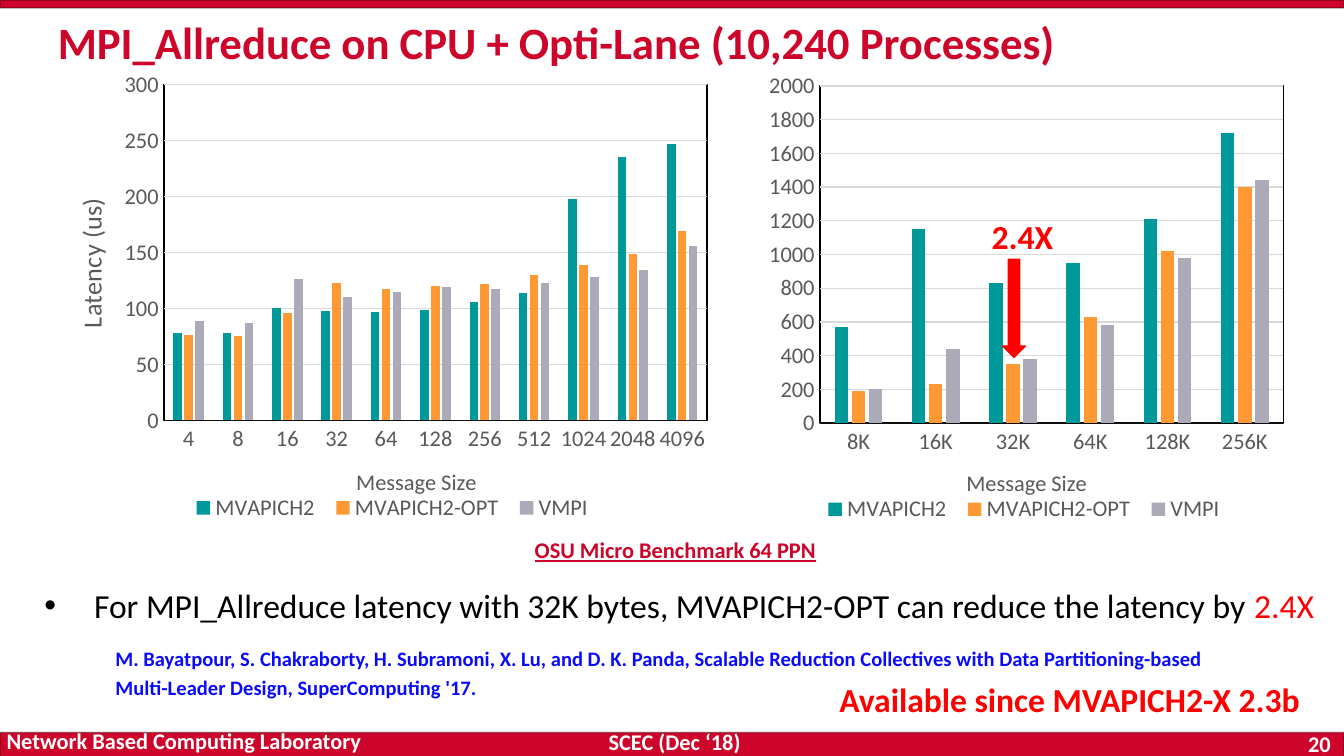
from lxml.etree import SubElement
from pptx import Presentation
from pptx.chart.data import CategoryChartData
from pptx.dml.color import RGBColor
from pptx.enum.chart import XL_CHART_TYPE, XL_LEGEND_POSITION, XL_TICK_MARK
from pptx.enum.shapes import MSO_SHAPE
from pptx.enum.text import MSO_ANCHOR, MSO_AUTO_SIZE, PP_ALIGN
from pptx.oxml import parse_xml
from pptx.oxml.ns import nsdecls, qn
from pptx.util import Pt

PX = 9144
FONT = "Calibri"
CRIMSON, RED, BLUE, BLACK, WHITE = "CD052B", "FF0000", "0A0AFF", "000000", "FFFFFF"
GRAY, GRID, AXIS = "595959", "D9D9D9", "0D0D0D"
SERIES_COLORS = {"MVAPICH2": "009999", "MVAPICH2-OPT": "FF9933", "VMPI": "AAAAB8"}


def color(value):
    return RGBColor.from_string(value)


def emu(*lengths):
    return [length * PX for length in lengths]


def style(font, size, hue, bold=False, underline=None):
    font.name, font.size, font.bold = FONT, Pt(size), bold
    font.underline = underline
    font.color.rgb = color(hue)


def add_run(paragraph, text, *look):
    run = paragraph.add_run()
    run.text = text
    style(run.font, *look)


def add_label(slide, box, text, look, align=PP_ALIGN.LEFT, anchor=MSO_ANCHOR.TOP,
              spacing=None, wrap=True):
    label = slide.shapes.add_textbox(*emu(*box))
    frame = label.text_frame
    frame.word_wrap = wrap
    frame.vertical_anchor = anchor
    paragraph = frame.paragraphs[0]
    paragraph.alignment = align
    paragraph.line_spacing = spacing
    add_run(paragraph, text, *look)


def add_solid(slide, kind, box, fill, line, width):
    solid = slide.shapes.add_shape(kind, *emu(*box))
    solid.shadow.inherit = False
    solid.fill.solid()
    solid.fill.fore_color.rgb = color(fill)
    solid.line.color.rgb = color(line)
    solid.line.width = Pt(width)
    return solid


def add_band(slide, box):
    band = add_solid(slide, MSO_SHAPE.RECTANGLE, box, CRIMSON, BLACK, 1)
    line_color = band.line._get_or_add_ln().find(".//" + qn("a:srgbClr"))
    SubElement(line_color, qn("a:alpha"), val="25000")


def add_frame(slide, box):
    left, top, width, height = box
    bottom = top + height
    look = (12, WHITE, True)
    add_band(slide, (left, top, width, 6))
    add_band(slide, (left, bottom - 17, width, 19))
    add_label(slide, (left + 2, bottom - 18, width, 15), "SCEC (Dec ‘18)", look,
              PP_ALIGN.CENTER, MSO_ANCHOR.MIDDLE)
    add_label(slide, (left + width - 66, bottom - 18, 66, 18), "20", look,
              PP_ALIGN.RIGHT, MSO_ANCHOR.MIDDLE)
    add_label(slide, (left - 5, bottom - 15, 302, 19),
              "Network Based Computing Laboratory", look, anchor=MSO_ANCHOR.BOTTOM)


def fill_placeholder(holder, box, runs):
    holder.left, holder.top, holder.width, holder.height = emu(*box)
    frame = holder.text_frame
    frame.auto_size = MSO_AUTO_SIZE.NONE
    frame.vertical_anchor = MSO_ANCHOR.TOP
    paragraph = frame.paragraphs[0]
    paragraph.alignment = PP_ALIGN.LEFT
    paragraph.space_before = Pt(0)
    for text, *look in runs:
        add_run(paragraph, text, *look)
    return paragraph


def add_finding(holder, box):
    paragraph = fill_placeholder(holder, box, [
        ("For MPI_Allreduce latency with 32K bytes, MVAPICH2-OPT can reduce the latency by ",
         18, BLACK),
        ("2.4X", 18, RED),
    ])
    paragraph.line_spacing = 1.2
    properties = paragraph._p.get_or_add_pPr()
    properties.set("marL", str(37 * PX))
    properties.set("indent", str(-37 * PX))
    SubElement(properties, qn("a:buFont"), typeface="Arial")
    SubElement(properties, qn("a:buChar"), char="•")


def place_part(part, index, chart_box, left, top, width=None, height=None):
    for old in part.findall(qn("c:layout")):
        part.remove(old)
    layout = parse_xml(f"<c:layout {nsdecls('c')}><c:manualLayout/></c:layout>")
    manual = layout[0]
    if part.tag == qn("c:plotArea"):
        SubElement(manual, qn("c:layoutTarget"), val="inner")
    for axis in "xy":
        SubElement(manual, qn(f"c:{axis}Mode"), val="edge")
    chart_width, chart_height = chart_box[2:]
    shares = {"x": left / chart_width, "y": top / chart_height}
    if width:
        shares.update(w=width / chart_width, h=height / chart_height)
    for key, share in shares.items():
        SubElement(manual, qn(f"c:{key}"), val=f"{share:.4f}")
    part.insert(index, layout)


def add_axis_title(axis, text, size, box, spot):
    title = axis.axis_title
    add_run(title.text_frame.paragraphs[0], text, size, GRAY)
    place_part(title._element, 1, box, *spot)
    return title


def add_latency_chart(slide, box, sizes, latencies, maximum, step, plot, size_spot,
                      legend_left, latency_spot=None):
    data = CategoryChartData()
    data.categories = sizes
    for name, values in zip(SERIES_COLORS, latencies):
        data.add_series(name, values)
    chart = slide.shapes.add_chart(XL_CHART_TYPE.COLUMN_CLUSTERED, *emu(*box), data).chart
    chart.has_title = False
    style(chart.font, 10, BLACK)

    columns = chart.plots[0]
    columns.gap_width, columns.overlap, columns.vary_by_categories = 219, -27, False
    for series in columns.series:
        series.format.fill.solid()
        series.format.fill.fore_color.rgb = color(SERIES_COLORS[series.name])

    for axis in (chart.category_axis, chart.value_axis):
        axis.major_tick_mark = axis.minor_tick_mark = XL_TICK_MARK.NONE
        style(axis.tick_labels.font, 12, GRAY)
    message_axis, latency_axis = chart.category_axis, chart.value_axis
    message_axis.format.line.color.rgb = color(AXIS)
    message_axis.format.line.width = Pt(0.75)
    latency_axis.format.line.fill.background()
    latency_axis.minimum_scale, latency_axis.maximum_scale = 0, maximum
    latency_axis.major_unit = step
    grid_line = latency_axis.major_gridlines.format.line
    grid_line.color.rgb = color(GRID)
    grid_line.width = Pt(0.75)

    add_axis_title(message_axis, "Message Size", 12, box, size_spot)
    if latency_spot:
        title = add_axis_title(latency_axis, "Latency (us)", 14, box, latency_spot)
        body = title._element.find(".//" + qn("a:bodyPr"))
        body.set("rot", "-5400000")
        body.set("vert", "horz")

    chart.has_legend = True
    chart.legend.position = XL_LEGEND_POSITION.BOTTOM
    chart.legend.include_in_layout = False
    style(chart.legend.font, 12, GRAY)
    place_part(chart.legend._element, 1, box, legend_left, 321, 312, 22)

    plot_area = chart._chartSpace.find(".//" + qn("c:plotArea"))
    place_part(plot_area, 0, box, *plot)
    plot_area.append(parse_xml(
        f'<c:spPr {nsdecls("c", "a")}><a:noFill/><a:ln w="9525"><a:solidFill>'
        f'<a:srgbClr val="{BLACK}"/></a:solidFill></a:ln></c:spPr>'))


def add_speedup(slide, box):
    left, top, width, height = box
    add_label(slide, (left, top, width, 40), "2.4X", (18, RED, True))
    add_solid(slide, MSO_SHAPE.DOWN_ARROW, (left + 18, top + 37, 17, height - 37),
              RED, RED, 0.75)


def add_notes_area(slide, box):
    left, top, width, height = box
    add_label(slide, (left + 312, top, 237, 30), "OSU Micro Benchmark 64 PPN",
              (12, CRIMSON, True, True))
    add_label(slide, (left, top + 78, width, 55),
              "M. Bayatpour, S. Chakraborty, H. Subramoni, X. Lu, and D. K. Panda, "
              "Scalable Reduction Collectives with Data Partitioning-based "
              "Multi-Leader Design, SuperComputing '17.", (11, BLUE, True), spacing=1.2)
    add_label(slide, (left + 537, top + 100, 366, 46), "Available since MVAPICH2-X 2.3b",
              (18, RED, True), PP_ALIGN.CENTER, spacing=1.2, wrap=False)


def main():
    deck = Presentation()
    deck.slide_width = 1000 * PX
    deck.slide_height = deck.slide_width * 9 // 16
    slide = deck.slides.add_slide(deck.slide_layouts[1])
    heading, finding = slide.placeholders

    add_frame(slide, (0, 0, 1000, 562))
    fill_placeholder(heading, (33, 6, 933, 63), [
        ("MPI_Allreduce on CPU + Opti-Lane (10,240 Processes)", 24, CRIMSON, True)])
    add_latency_chart(
        slide, (38, 46, 504, 386), [str(2 ** power) for power in range(2, 13)],
        [(78, 78, 100, 98, 97, 99, 106, 114, 198, 235, 247),
         (76, 75, 96, 123, 117, 120, 122, 130, 139, 149, 169),
         (89, 87, 126, 110, 115, 119, 117, 123, 128, 134, 156)],
        300, 50, (84, 17, 404, 250), (224, 298), 98, (13, 98))
    add_latency_chart(
        slide, (552, 47, 418, 386), [f"{2 ** power}K" for power in range(3, 9)],
        [(570, 1150, 830, 950, 1210, 1720),
         (190, 230, 350, 630, 1020, 1400),
         (200, 440, 380, 580, 980, 1440)],
        2000, 200, (58, 17, 345, 251), (164, 298), 54)
    add_speedup(slide, (728, 156, 83, 110))
    add_finding(finding, (23, 424, 977, 84))
    add_notes_area(slide, (76, 394, 856, 146))
    deck.save("out.pptx")


if __name__ == "__main__":
    main()
